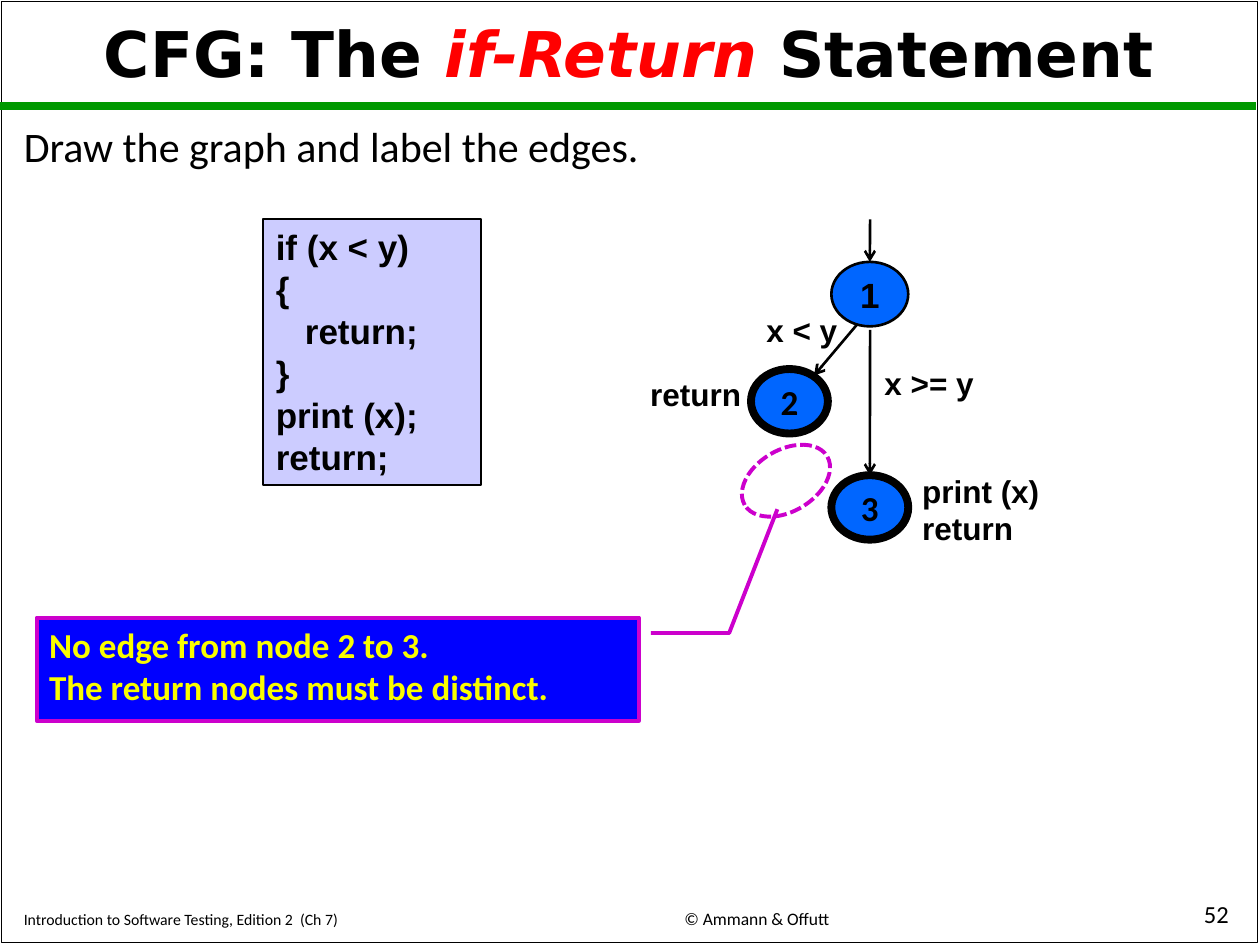
"""Build a slide on the control flow graph of an if-return statement."""
from dataclasses import dataclass
from typing import Optional

from lxml import etree
from pptx import Presentation
from pptx.dml.color import RGBColor
from pptx.enum.dml import MSO_LINE
from pptx.enum.shapes import MSO_CONNECTOR, MSO_SHAPE
from pptx.enum.text import MSO_ANCHOR, PP_ALIGN
from pptx.oxml.ns import qn
from pptx.util import Cm, Pt

BLACK = RGBColor(0, 0, 0)
WHITE = RGBColor(255, 255, 255)
RED = RGBColor(255, 0, 0)
GREEN = RGBColor(0, 0x99, 0)
LILAC = RGBColor(0xCC, 0xCC, 0xFF)
AZURE = RGBColor(0, 0x66, 0xFF)
BLUE = RGBColor(0, 0, 255)
YELLOW = RGBColor(0xFA, 0xFD, 0)
PURPLE = RGBColor(0xCC, 0, 0xCC)

LEFT, CENTER, RIGHT = PP_ALIGN.LEFT, PP_ALIGN.CENTER, PP_ALIGN.RIGHT
TOP, MIDDLE, BOTTOM = MSO_ANCHOR.TOP, MSO_ANCHOR.MIDDLE, MSO_ANCHOR.BOTTOM
RECT, OVAL = MSO_SHAPE.RECTANGLE, MSO_SHAPE.OVAL
CALLOUT = MSO_SHAPE.LINE_CALLOUT_2
STRAIGHT = MSO_CONNECTOR.STRAIGHT
DASH = MSO_LINE.SQUARE_DOT


@dataclass
class Run:
    text: str
    color: RGBColor = BLACK
    italic: bool = False


@dataclass
class Style:
    font: str
    size: float
    bold: bool = False
    align: PP_ALIGN = LEFT
    anchor: MSO_ANCHOR = TOP
    lead: Optional[float] = None
    gap: float = 0


@dataclass
class Box:
    x: float
    y: float
    w: float
    h: float


@dataclass
class Node:
    name: str
    x: float
    y: float
    width: float
    font: str


@dataclass
class Edge:
    start: tuple
    end: tuple
    goal: Optional[str] = None


@dataclass
class Label:
    box: Box
    lines: list
    style: Style


def write(frame, lines: list, style: Style) -> None:
    """Fill a text frame with lines, each a list of runs."""
    frame.word_wrap = True
    frame.vertical_anchor = style.anchor
    for i, line in enumerate(lines):
        para = frame.add_paragraph() if i else frame.paragraphs[0]
        para.alignment = style.align
        if style.lead:
            para.line_spacing = style.lead
        if i and style.gap:
            para.space_before = Pt(style.gap)
        for part in line:
            run = para.add_run()
            run.text = part.text
            font = run.font
            font.name, font.size = style.font, Pt(style.size)
            font.bold, font.italic = style.bold, part.italic
            font.color.rgb = part.color


def plain(*texts: str, color: RGBColor = BLACK) -> list:
    """Turn each text into a line of one run."""
    return [[Run(text, color)] for text in texts]


def shape(slide, kind: MSO_SHAPE, box: Box, fill: Optional[RGBColor],
          line: Optional[RGBColor], width: float = 1):
    """Draw a preset shape."""
    item = slide.shapes.add_shape(kind, Cm(box.x), Cm(box.y), Cm(box.w), Cm(box.h))
    item.shadow.inherit = False
    if fill is None:
        item.fill.background()
    else:
        item.fill.solid()
        item.fill.fore_color.rgb = fill
    if line is None:
        item.line.fill.background()
    else:
        item.line.color.rgb = line
        item.line.width = Pt(width)
    return item


def label(slide, item: Label) -> None:
    """Draw a text box."""
    box = item.box
    text = slide.shapes.add_textbox(Cm(box.x), Cm(box.y), Cm(box.w), Cm(box.h))
    write(text.text_frame, item.lines, item.style)


def link(slide, edge: Edge, color: RGBColor, width: float, arrow: bool):
    """Draw a straight line, with an arrowhead at its end on request."""
    line = slide.shapes.add_connector(STRAIGHT, *map(Cm, edge.start + edge.end))
    line.line.color.rgb = color
    line.line.width = Pt(width)
    if arrow:
        etree.SubElement(line.line._get_or_add_ln(), qn("a:tailEnd"), type="arrow")
    etree.SubElement(line._element.spPr, qn("a:effectLst"))
    return line


def circle(slide, node: Node):
    """Draw a numbered graph node."""
    item = shape(slide, OVAL, Box(node.x, node.y, 1.55, 1.3), AZURE, BLACK, node.width)
    frame = item.text_frame
    frame.margin_left = frame.margin_right = frame.margin_top = frame.margin_bottom = 0
    write(frame, plain(node.name), Style(node.font, 20, True, CENTER, MIDDLE))
    return item


TITLE = [[Run("CFG: The "), Run("if-Return", RED, True), Run(" Statement")]]
CODE = plain("if (x < y)", "{", "   return;", "}", "print (x);", "return;")
NOTE = plain("No edge from node 2 to 3.", "The return nodes must be distinct.", color=YELLOW)
EDGE = Style("Arial", 18, True, CENTER)
HEADS = [
    Label(Box(0.23, 18.08, 10.46, 0.76),
          plain("Introduction to Software Testing, Edition 2\u00a0 (Ch 7)".replace("\u00a0", " ")),
          Style("Calibri", 9, anchor=BOTTOM)),
    Label(Box(11.23, 18.06, 8.05, 0.79), plain("© Ammann & Offutt"),
          Style("Calibri", 10, False, CENTER, BOTTOM)),
    Label(Box(20.04, 18.03, 4.98, 0.81), plain("52"),
          Style("Calibri", 14, False, RIGHT, BOTTOM)),
    Label(Box(0.23, 0.28, 24.89, 1.75), TITLE,
          Style("DejaVu Sans", 36, True, CENTER, MIDDLE, 0.9)),
]
NODES = [Node("3", 16.76, 9.58, 4.5, "Calibri"), Node("1", 16.76, 5.28, 1.5, "Arial"),
         Node("2", 15.14, 7.44, 4.5, "Calibri")]
EDGES = [Edge((17.27, 6.55), (16.41, 7.57)), Edge((17.54, 4.42), (17.54, 5.28), "1"),
         Edge((17.54, 6.65), (17.54, 9.58), "3")]
LABELS = [
    Label(Box(17.37, 7.21, 2.72, 1.02), plain("x >= y"), EDGE),
    Label(Box(15.01, 6.15, 2.31, 1.02), plain("x < y"), EDGE),
    Label(Box(12.29, 7.77, 2.9, 0.64), plain("return"),
          Style("Arial", 18, True, RIGHT, lead=0.5)),
    Label(Box(18.34, 9.73, 2.9, 1.42), plain("print (x)", "return"),
          Style("Arial", 18, True, lead=0.5, gap=10)),
]


def main() -> None:
    """Build and save the slide."""
    deck = Presentation()
    deck.slide_width, deck.slide_height = Cm(25.4), Cm(19.05)
    slide = deck.slides.add_slide(deck.slide_layouts[6])
    shape(slide, RECT, Box(0.03, 0.03, 25.32, 18.97), None, BLACK)
    link(slide, Edge((0, 2.13), (25.32, 2.13)), GREEN, 4.5, False)
    for item in HEADS:
        label(slide, item)
    code = shape(slide, RECT, Box(5.31, 4.42, 4.39, 5.36), LILAC, BLACK)
    write(code.text_frame, CODE, Style("Arial", 20, True))
    nodes = {node.name: circle(slide, node) for node in NODES}
    for edge in EDGES:
        line = link(slide, edge, BLACK, 1.5, True)
        if edge.goal:
            line.end_connect(nodes[edge.goal], 0)
    for item in LABELS:
        label(slide, item)
    note = shape(slide, CALLOUT, Box(0.74, 12.45, 12.14, 2.08), BLUE, PURPLE, 2.25)
    for i, value in enumerate((0.15, 1.02, 0.15, 1.15, -1.05, 1.23)):
        note.adjustments[i] = value
    write(note.text_frame, NOTE, Style("Calibri", 20, True))
    ring = shape(slide, OVAL, Box(14.88, 9.07, 1.93, 1.24), None, PURPLE, 2.25)
    ring.rotation = 329.5
    ring.line.dash_style = DASH
    task = shape(slide, RECT, Box(0.23, 2.31, 17.15, 1.27), WHITE, None)
    write(task.text_frame, plain("Draw the graph and label the edges."), Style("Calibri", 24))
    deck.save("out.pptx")


if __name__ == "__main__":
    main()
